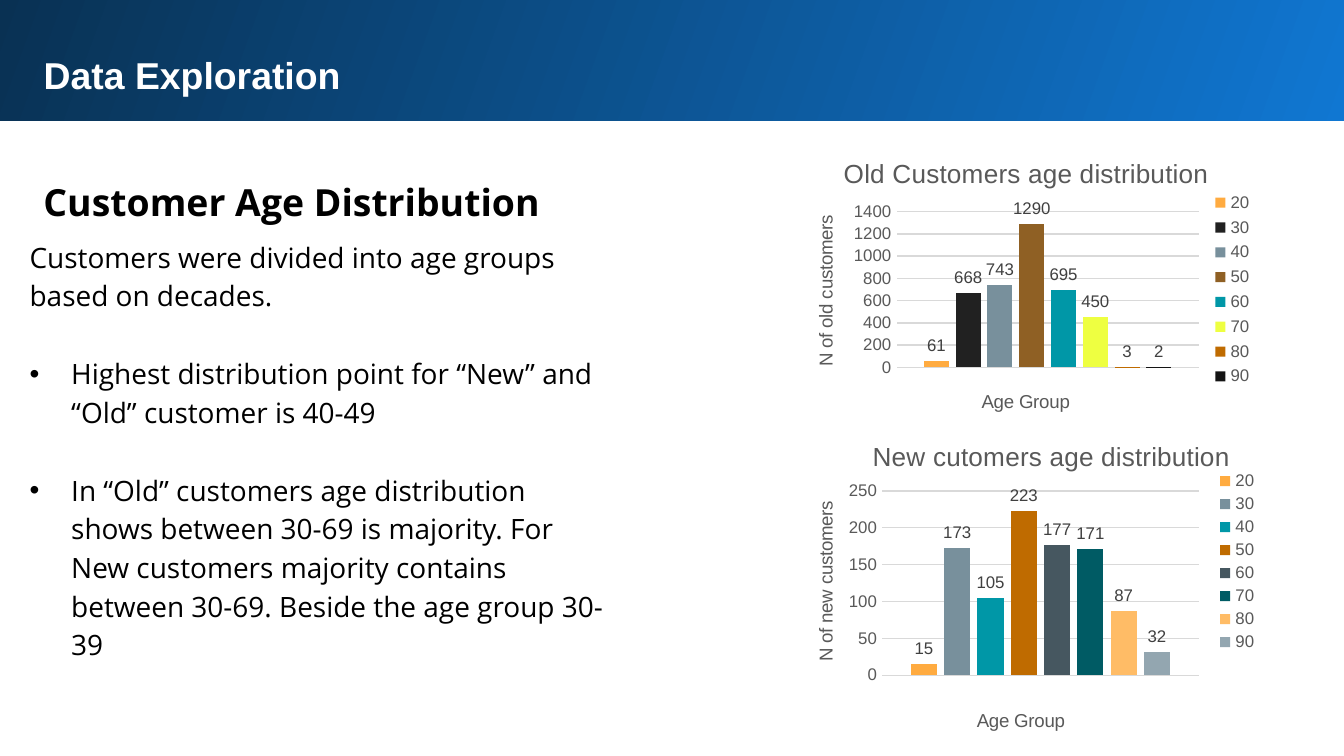
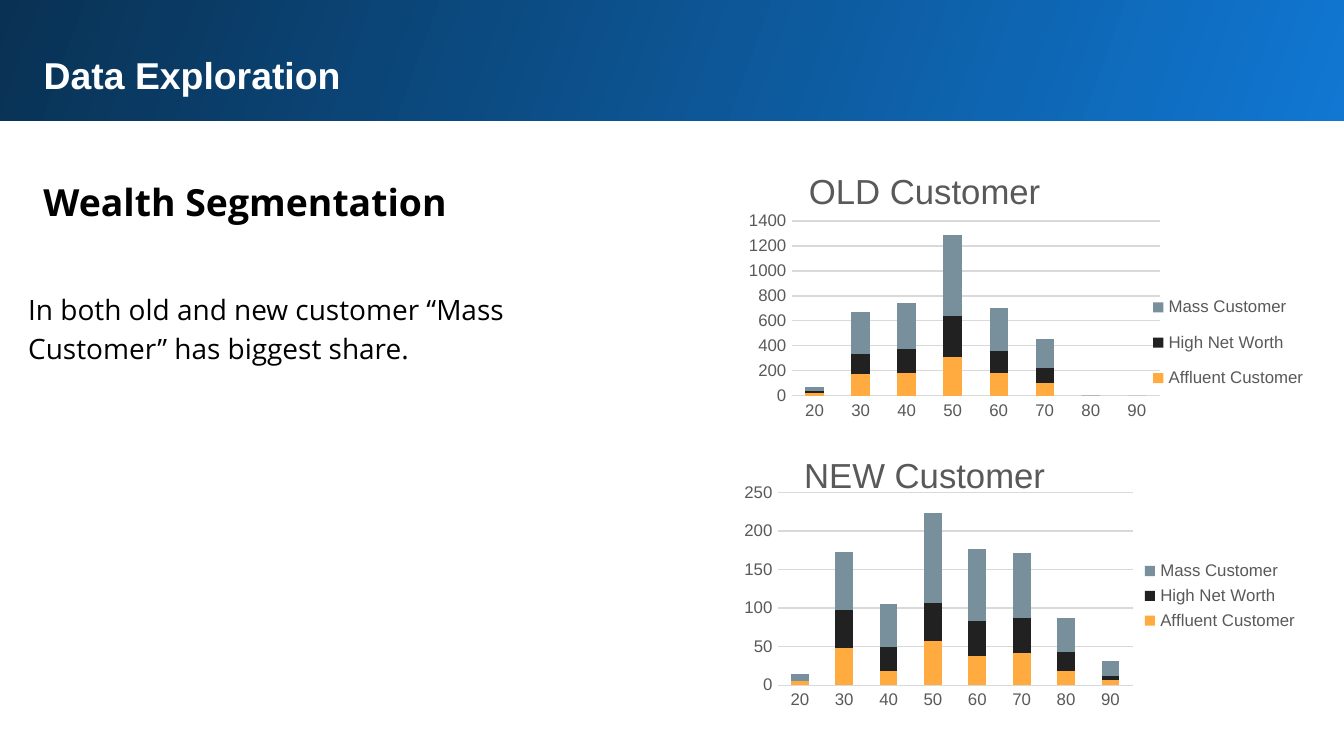
from lxml import etree
from pptx import Presentation
from pptx import util as u
from pptx.chart.data import CategoryChartData
from pptx.dml.color import RGBColor
from pptx.enum import chart as ch
from pptx.enum import shapes, text
from pptx.oxml.ns import qn

PX = 4572
WHITE = RGBColor(0xFF, 0xFF, 0xFF)
BLACK = RGBColor(0x00, 0x00, 0x00)
BRIGHT_BLUE = RGBColor(0x10, 0x77, 0xD2)
NAVY = RGBColor(0x09, 0x31, 0x53)
GREY = RGBColor(0x59, 0x59, 0x59)
LABEL_GREY = RGBColor(0x40, 0x40, 0x40)
GRID = RGBColor(0xD9, 0xD9, 0xD9)
ORANGE = RGBColor(0xFF, 0xAB, 0x40)
CHARCOAL = RGBColor(0x21, 0x21, 0x21)
SLATE = RGBColor(0x78, 0x90, 0x9C)
BROWN = RGBColor(0x8F, 0x60, 0x24)
TEAL = RGBColor(0x00, 0x97, 0xA7)
YELLOW = RGBColor(0xEE, 0xFF, 0x41)
RUST = RGBColor(0xBF, 0x6B, 0x00)
INK = RGBColor(0x14, 0x14, 0x14)
DARK_SLATE = RGBColor(0x46, 0x57, 0x60)
DARK_TEAL = RGBColor(0x00, 0x5B, 0x64)
PEACH = RGBColor(0xFF, 0xBC, 0x66)
LIGHT_SLATE = RGBColor(0x93, 0xA6, 0xB0)

AGES = ["20", "30", "40", "50", "60", "70", "80", "90"]
SEGMENTS = ["Affluent Customer", "High Net Worth", "Mass Customer"]
SEGMENT_COLOURS = [ORANGE, CHARCOAL, SLATE]


def write(frame, lines, size, colour, face, bold=False, spacing=1.0, inset=20):
    frame.word_wrap = True
    frame.auto_size = text.MSO_AUTO_SIZE.SHAPE_TO_FIT_TEXT
    frame.vertical_anchor = text.MSO_ANCHOR.TOP
    frame.margin_left = frame.margin_right = 20 * PX
    frame.margin_top = frame.margin_bottom = inset * PX
    for i, line in enumerate(lines):
        para = frame.paragraphs[0] if i == 0 else frame.add_paragraph()
        para.alignment = text.PP_ALIGN.LEFT
        para.line_spacing = spacing
        para.space_before = u.Pt(21 if i else 0)
        run = para.add_run()
        run.text = line
        run.font.size = u.Pt(size)
        run.font.name = face
        run.font.bold = bold
        run.font.color.rgb = colour


def place(part, fractions):
    for old in part.findall(qn("c:layout")):
        part.remove(old)
    layout = etree.Element(qn("c:layout"))
    manual = etree.SubElement(layout, qn("c:manualLayout"))
    is_plot = part.tag == qn("c:plotArea")
    if is_plot:
        etree.SubElement(manual, qn("c:layoutTarget")).set("val", "inner")
    for mode in ("xMode", "yMode"):
        etree.SubElement(manual, qn("c:" + mode)).set("val", "edge")
    for side, value in zip("xywh", fractions):
        etree.SubElement(manual, qn("c:" + side)).set("val", str(value))
    part.insert(0 if is_plot else 1, layout)


prs = Presentation()
prs.slide_width = 2000 * PX
prs.slide_height = 1125 * PX

pages = [
    ("Customer Age Distribution", (24, 330, 904, 848), [
        "Customers were divided into age groups based on decades.",
        "Highest distribution point for “New” and “Old” customer is 40-49",
        "In “Old” customers age distribution shows between 30-69 is majority. "
        "For New customers majority contains between 30-69. Beside the age group 30-39",
    ]),
    ("Wealth Segmentation", (22, 408, 904, 326), [
        "In both old and new customer “Mass Customer” has biggest share.",
    ]),
]

for heading, findings_box, findings in pages:
    slide = prs.slides.add_slide(prs.slide_layouts[1])

    band = slide.shapes.add_shape(
        shapes.MSO_SHAPE.RECTANGLE, -4 * PX, -4 * PX, 2010 * PX, 184 * PX)
    band.shadow.inherit = False
    band.line.fill.background()
    band.fill.gradient()
    band.fill.gradient_angle = 160
    for stop, colour in zip(band.fill.gradient_stops, (BRIGHT_BLUE, NAVY)):
        stop.color.rgb = colour
    slide.shapes.element.insert(2, band.element)

    title = slide.shapes.title
    title.left, title.top, title.width, title.height = (
        n * PX for n in (45, 58, 1874, 102))
    write(title.text_frame, ["Data Exploration"], 20, WHITE, "Arial", bold=True)

    subtitle = slide.shapes.add_textbox(45 * PX, 237 * PX, 1874 * PX, 112 * PX)
    write(subtitle.text_frame, [heading], 20, BLACK, "Open Sans", bold=True, spacing=1.15)

    body = slide.placeholders[1]
    body.left, body.top, body.width, body.height = (n * PX for n in findings_box)
    write(body.text_frame, findings, 15, BLACK, "Open Sans", spacing=1.15)
    for i, para in enumerate(body.element.xpath(".//a:p")):
        props = para.get_or_add_pPr()
        indent = 62 * PX if i else 0
        props.set("marL", str(indent))
        props.set("indent", str(-indent))
        if i:
            etree.SubElement(props, qn("a:buFont")).set("typeface", "Arial")
            etree.SubElement(props, qn("a:buChar")).set("char", "•")
        else:
            etree.SubElement(props, qn("a:buNone"))

age_slide, wealth_slide = prs.slides

age_charts = [
    dict(box=(1170, 208, 714, 446), values=[61, 668, 743, 1290, 695, 450, 3, 2],
         colours=[ORANGE, CHARCOAL, SLATE, BROWN, TEAL, YELLOW, RUST, INK],
         title="Old Customers age distribution", axis="N of old customers",
         top=1400, step=200, plot=(0.23, 0.24, 0.63, 0.52),
         legend=(0.88, 0.16, 0.1, 0.68), title_at=(0.11, 0.04),
         value_at=(0.05, 0.24), group_at=(0.4, 0.82)),
    dict(box=(1170, 618, 714, 490), values=[15, 173, 105, 223, 177, 171, 87, 32],
         colours=[ORANGE, SLATE, TEAL, RUST, DARK_SLATE, DARK_TEAL, PEACH, LIGHT_SLATE],
         title="New cutomers age distribution", axis="N of new customers",
         top=250, step=50, plot=(0.2, 0.23, 0.66, 0.56),
         legend=(0.89, 0.16, 0.1, 0.57), title_at=(0.17, 0.06),
         value_at=(0.05, 0.25), group_at=(0.39, 0.88)),
]
wealth_charts = [
    dict(box=(1072, 262, 884, 394), top=1400, step=200,
         values=[[20, 170, 180, 310, 180, 100, 0, 0],
                 [20, 160, 190, 330, 180, 120, 0, None],
                 [30, 340, 370, 650, 340, 230, 0, 0]],
         plot=(0.12, 0.17, 0.62, 0.66), legend=(0.72, 0.4, 0.27, 0.46)),
    dict(box=(1088, 712, 866, 350), top=250, step=50,
         values=[[5, 48, 19, 57, 38, 42, 19, 7],
                 [None, 49, 31, 50, 45, 45, 24, 5],
                 [10, 76, 55, 116, 94, 84, 44, 20]],
         plot=(0.08, 0.06, 0.61, 0.82), legend=(0.7, 0.33, 0.28, 0.34)),
]

for info in age_charts + wealth_charts:
    by_age = "title" in info
    data = CategoryChartData()
    data.categories = ["1"] if by_age else AGES
    for name, values in zip(AGES if by_age else SEGMENTS, info["values"]):
        data.add_series(name, [values] if by_age else values)
    kind = ch.XL_CHART_TYPE.COLUMN_CLUSTERED if by_age else ch.XL_CHART_TYPE.COLUMN_STACKED
    host = age_slide if by_age else wealth_slide
    chart = host.shapes.add_chart(kind, *(n * PX for n in info["box"]), data).chart
    chart.font.size = u.Pt(10)
    chart.font.name = "Arial"
    chart.font.color.rgb = BLACK
    chart.has_title = by_age

    plot = chart.plots[0]
    plot.vary_by_categories = False
    plot.gap_width = 219 if by_age else 150
    plot.overlap = -27 if by_age else 100
    for series, colour in zip(plot.series, info.get("colours", SEGMENT_COLOURS)):
        series.format.fill.solid()
        series.format.fill.fore_color.rgb = colour

    groups, counts = chart.category_axis, chart.value_axis
    for axis in (groups, counts):
        axis.major_tick_mark = axis.minor_tick_mark = ch.XL_TICK_MARK.NONE
        axis.tick_labels.font.size = u.Pt(9)
        axis.tick_labels.font.name = "Arial"
        axis.tick_labels.font.color.rgb = GREY
    counts.minimum_scale = 0
    counts.maximum_scale = info["top"]
    counts.major_unit = info["step"]
    counts.format.line.fill.background()
    counts.has_major_gridlines = True
    for rule in (groups.format.line, counts.major_gridlines.format.line):
        rule.color.rgb = GRID
        rule.width = u.Pt(0.75)

    chart.has_legend = True
    chart.legend.position = ch.XL_LEGEND_POSITION.RIGHT
    chart.legend.include_in_layout = False
    chart.legend.font.size = u.Pt(9)
    chart.legend.font.name = "Arial"
    chart.legend.font.color.rgb = GREY
    place(chart.element.xpath("c:chart/c:plotArea")[0], info["plot"])
    place(chart.element.xpath("c:chart/c:legend")[0], info["legend"])

    if by_age:
        groups.visible = False
        plot.has_data_labels = True
        labels = plot.data_labels
        labels.show_value = True
        labels.position = ch.XL_LABEL_POSITION.OUTSIDE_END
        labels.font.size = u.Pt(9)
        labels.font.name = "Arial"
        labels.font.color.rgb = LABEL_GREY
        for caption, words, size, spot in (
                (chart.chart_title, info["title"], 14, info["title_at"]),
                (counts.axis_title, info["axis"], 10, info["value_at"]),
                (groups.axis_title, "Age Group", 10, info["group_at"])):
            run = caption.text_frame.paragraphs[0].add_run()
            run.text = words
            run.font.size = u.Pt(size)
            run.font.name = "Arial"
            run.font.bold = False
            run.font.color.rgb = GREY
            place(caption.element, spot)

for words, top in (("NEW Customer", 666), ("OLD Customer", 243)):
    caption = wealth_slide.shapes.add_textbox(874 * PX, top * PX, 1004 * PX, 82 * PX)
    write(caption.text_frame, [words], 18.6, GREY, "Arial", inset=10)
    caption.text_frame.paragraphs[0].alignment = text.PP_ALIGN.CENTER

prs.save("out.pptx")
